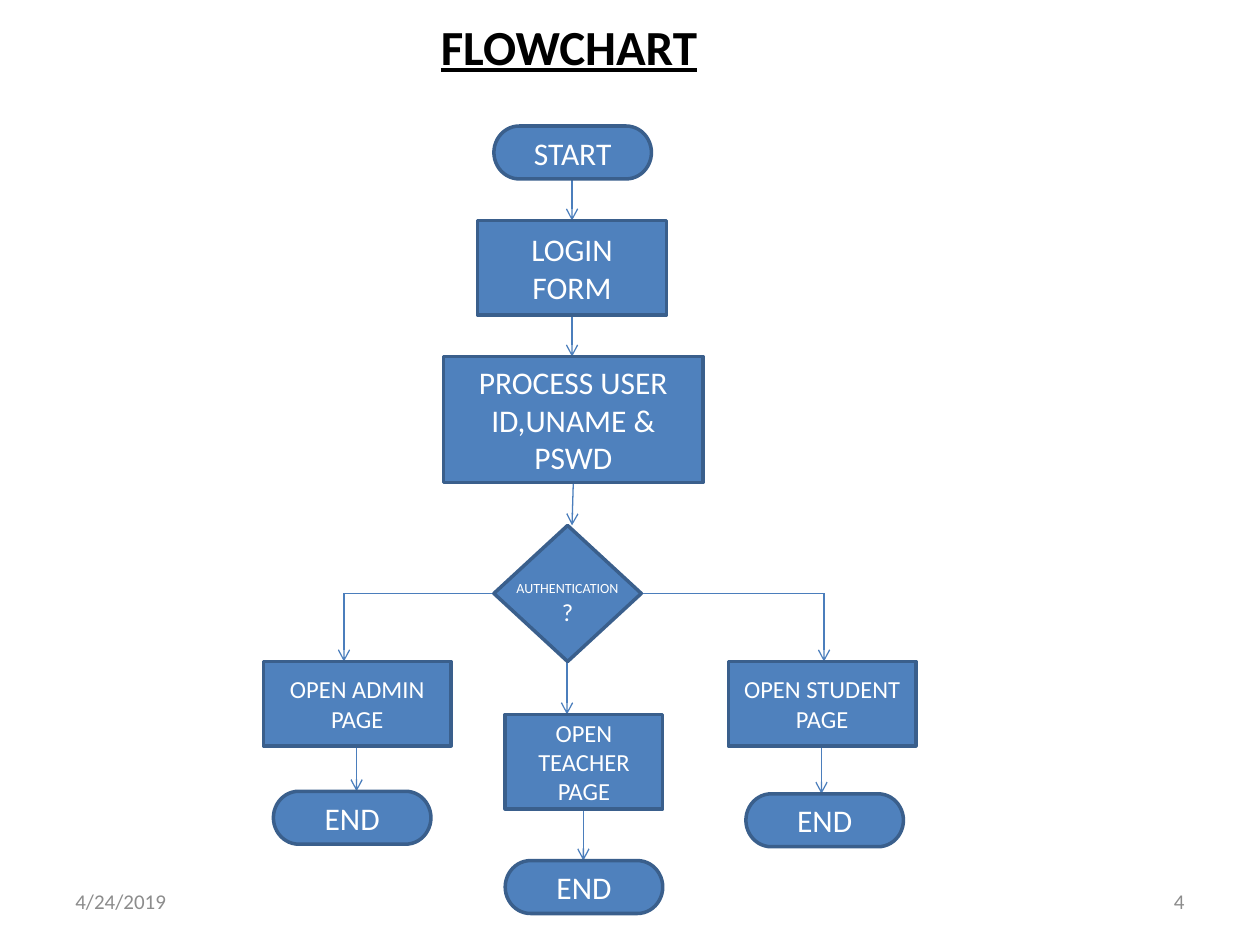
from lxml.etree import SubElement
from pptx import Presentation
from pptx.dml.color import RGBColor
from pptx.enum.shapes import MSO_CONNECTOR as Connector, MSO_SHAPE as Shape
from pptx.enum.text import MSO_ANCHOR as Anchor, PP_ALIGN as Align
from pptx.oxml.ns import qn
from pptx.util import Inches, Pt

COLORS = {
    "fill": "4F81BD",
    "border": "3A5F8C",
    "arrow": "4B7EBC",
    "label": "FFFFFF",
    "title": "000000",
    "footer": "8C8C8C",
}


def write_text(box, text, sizes, color, align=Align.LEFT, anchor=Anchor.MIDDLE, bold=False, underline=False):
    frame = box.text_frame
    frame.word_wrap = True
    frame.vertical_anchor = anchor
    for index, (line, size) in enumerate(zip(text.split("\n"), sizes)):
        para = frame.paragraphs[0] if index == 0 else frame.add_paragraph()
        para.alignment = align
        span = para.add_run()
        span.text = line
        span.font.name = "Calibri"
        span.font.size = Pt(size)
        span.font.bold = bold
        span.font.underline = underline
        span.font.color.rgb = RGBColor.from_string(COLORS[color])


deck = Presentation()
deck.slide_width = Inches(10)
deck.slide_height = Inches(7.5)
page = deck.slides.add_slide(deck.slide_layouts[6])

flow_lines = [
    (4.54, 1.42, 4.54, 1.75, True),
    (4.54, 2.5, 4.54, 2.83, True),
    (4.55, 3.83, 4.54, 4.17, True),
    (2.73, 4.71, 2.73, 5.25, True),
    (2.73, 4.71, 3.92, 4.71, False),
    (5.08, 4.71, 6.54, 4.71, False),
    (4.5, 5.25, 4.5, 5.67, True),
    (6.54, 4.71, 6.54, 5.25, True),
    (2.83, 5.92, 2.83, 6.28, True),
    (4.63, 6.42, 4.63, 6.83, True),
    (6.52, 5.92, 6.52, 6.3, True),
]
for x1, y1, x2, y2, has_head in flow_lines:
    line = page.shapes.add_connector(
        Connector.STRAIGHT, Inches(x1), Inches(y1), Inches(x2), Inches(y2)
    )
    line.line.color.rgb = RGBColor.from_string(COLORS["arrow"])
    line.line.width = Pt(0.75)
    if has_head:
        SubElement(line.line._get_or_add_ln(), qn("a:tailEnd"), type="arrow")
    SubElement(line._element.spPr, qn("a:effectLst"))

steps = [
    (Shape.FLOWCHART_TERMINATOR, 3.92, 1, 1.25, 0.42, "START", [18]),
    (Shape.RECTANGLE, 3.79, 1.75, 1.5, 0.75, "LOGIN FORM", [18]),
    (Shape.RECTANGLE, 3.52, 2.83, 2.06, 1, "PROCESS USER ID,UNAME & PSWD", [18]),
    (Shape.DIAMOND, 3.92, 4.17, 1.17, 1.08, "AUTHENTICATION\n?", [8, 14]),
    (Shape.RECTANGLE, 4.01, 5.67, 1.25, 0.75, "OPEN TEACHER PAGE", [14]),
    (Shape.RECTANGLE, 5.78, 5.25, 1.49, 0.67, "OPEN STUDENT PAGE", [14]),
    (Shape.RECTANGLE, 2.09, 5.25, 1.49, 0.67, "OPEN ADMIN PAGE", [14]),
    (Shape.FLOWCHART_TERMINATOR, 5.92, 6.3, 1.25, 0.42, "END", [18]),
    (Shape.FLOWCHART_TERMINATOR, 4.01, 6.83, 1.25, 0.42, "END", [18]),
    (Shape.FLOWCHART_TERMINATOR, 2.17, 6.28, 1.25, 0.42, "END", [18]),
]
for kind, left, top, width, height, text, sizes in steps:
    step = page.shapes.add_shape(kind, Inches(left), Inches(top), Inches(width), Inches(height))
    step.shadow.inherit = False
    step.fill.solid()
    step.fill.fore_color.rgb = RGBColor.from_string(COLORS["fill"])
    step.line.color.rgb = RGBColor.from_string(COLORS["border"])
    step.line.width = Pt(2)
    write_text(step, text, sizes, "label", align=Align.CENTER)
    if kind == Shape.DIAMOND:
        step.text_frame.word_wrap = False
        step.text_frame.margin_top = Inches(0.15)
        step.text_frame.margin_bottom = Inches(0)

title = page.shapes.add_textbox(Inches(3.4), Inches(0.08), Inches(2.38), Inches(0.57))
write_text(title, "FLOWCHART", [28], "title", anchor=Anchor.TOP, bold=True, underline=True)

for left, text, align in [(0.5, "4/24/2019", Align.LEFT), (7.17, "4", Align.RIGHT)]:
    footer = page.shapes.add_textbox(Inches(left), Inches(6.95), Inches(2.33), Inches(0.4))
    write_text(footer, text, [12], "footer", align=align)

deck.save("out.pptx")
